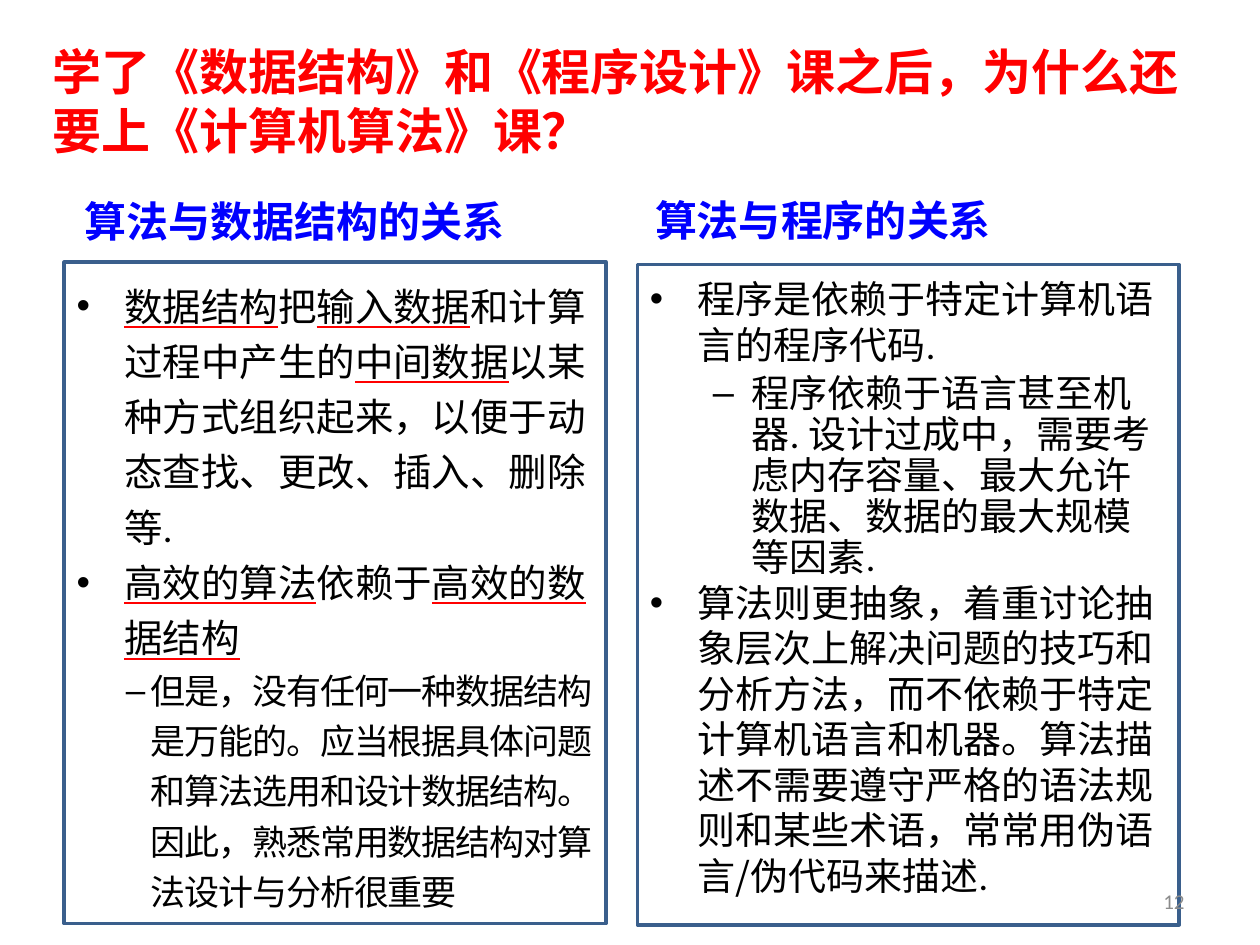
from lxml.etree import SubElement
from pptx import Presentation
from pptx.dml.color import RGBColor
from pptx.enum.shapes import MSO_SHAPE as Shape
from pptx.enum.text import MSO_ANCHOR as Anchor, PP_ALIGN as Align
from pptx.oxml.ns import qn
from pptx.util import Inches, Pt

SANS, BODY = "Noto Sans CJK SC", "Calibri"
RED, BLUE, BLACK, GREY, EDGE = "FF0000", "0000FF", "000000", "8C8C8C", "3A5F8C"

# Labels: text, box, size, font, colour, bold, align, indent
LABELS = [
    ("学了《数据结构》和《程序设计》课之后，为什么还要上《计算机算法》课？",
     (0.25, 0.17, 9.33, 1.25), 28, SANS, RED, True, Align.LEFT, 0.07),
    ("算法与数据结构的关系", (0.5, 1.13, 4.08, 1.25), 24, SANS, BLUE, True, Align.LEFT, 0.07),
    ("算法与程序的关系", (5.03, 1.12, 4.08, 1.25), 24, SANS, BLUE, True, Align.LEFT, 0.07),
    ("12", (7.17, 6.95, 2.33, 0.4), 12, BODY, GREY, False, Align.RIGHT, 0),
]

# Paragraph styles: bullet, left indent, hang, size, line pitch, space before, tracking
TOP = ("•", 0.38, 0.38, 22, 31.6, 0, 0)
SUB = ("–", 0.59, 0.2, 20, 28.8, 0, -70)
ITEM = ("•", 0.38, 0.38, 21.7, 26, 0, 0)
NOTE = ("–", 0.81, 0.31, 21.7, 23.4, 4.3, 0)

# Panels: box, then paragraphs of (style, runs); a run is (text, font, underlined)
PANELS = [
    ((0.51, 2.08, 4.3, 5.25), [
        (TOP, [("数据结构", SANS, True), ("把", BODY, False),
               ("输入数据", SANS, True), ("和计算过程中产生的", BODY, False),
               ("中间数据", SANS, True),
               ("以某种方式组织起来，以便于动态查找、更改、插入、删除等.", BODY, False)]),
        (TOP, [("高效的算法", SANS, True), ("依赖于", BODY, False),
               ("高效的数据结构", SANS, True)]),
        (SUB, [("但是，没有任何一种数据结构是万能的。应当根据具体问题和算法选用和设计数据结构。"
                "因此，熟悉常用数据结构对算法设计与分析很重要", BODY, False)]),
    ]),
    ((5.06, 2.1, 4.3, 5.24), [
        (ITEM, [("程序是依赖于特定计算机语言的程序代码.", BODY, False)]),
        (NOTE, [("程序依赖于语言甚至机器. 设计过成中，需要考虑内存容量、最大允许数据、"
                 "数据的最大规模等因素.", BODY, False)]),
        (ITEM, [("算法则更抽象，着重讨论抽象层次上解决问题的技巧和分析方法，而不依赖于特定"
                 "计算机语言和机器。算法描述不需要遵守严格的语法规则和某些术语，常常用",
                 BODY, False),
                ("伪语言/伪代码", SANS, False), ("来描述.", BODY, False)]),
    ]),
]


def rgb(code):
    return RGBColor.from_string(code)


def indent(para, left, hang=0, mark=None):
    props = para._p.get_or_add_pPr()
    props.set("marL", str(Inches(left)))
    props.set("indent", str(-Inches(hang)))
    if mark:
        SubElement(props, qn("a:buFont"), typeface="Arial")
        SubElement(props, qn("a:buChar"), char=mark)


def dress(run, size, face, color, bold=False, under=False, track=0):
    """Format a run, with a red rule below it when underlined."""
    font = run.font
    font.size, font.bold = Pt(size), bold
    font.color.rgb = rgb(color)
    props = run._r.get_or_add_rPr()
    if track:
        props.set("spc", str(track))
    if under:
        font.underline = True
        fill = SubElement(SubElement(props, qn("a:uFill")), qn("a:solidFill"))
        SubElement(fill, qn("a:srgbClr"), val=RED)
    font.name = face
    SubElement(props, qn("a:ea"), typeface=SANS)


def add_label(slide, text, box, size, face, color, bold, align, left):
    frame = slide.shapes.add_textbox(*map(Inches, box)).text_frame
    frame.word_wrap, frame.vertical_anchor = True, Anchor.MIDDLE
    frame.text = text
    para = frame.paragraphs[0]
    indent(para, left)
    para.alignment, para.line_spacing = align, Pt(size * 1.2)
    dress(para.runs[0], size, face, color, bold)


def add_panel(slide, box, items):
    panel = slide.shapes.add_shape(Shape.RECTANGLE, *map(Inches, box))
    panel.shadow.inherit = False
    panel.fill.background()
    panel.line.color.rgb, panel.line.width = rgb(EDGE), Pt(2)
    frame = panel.text_frame
    frame.word_wrap, frame.vertical_anchor = True, Anchor.TOP
    frame.margin_top = Inches(0.09)
    for i, (style, runs) in enumerate(items):
        mark, left, hang, size, pitch, before, track = style
        para = frame.add_paragraph() if i else frame.paragraphs[0]
        indent(para, left, hang, mark)
        para.level = int(mark == "–")
        para.alignment = Align.LEFT
        para.line_spacing, para.space_before = Pt(pitch), Pt(before)
        for text, face, under in runs:
            run = para.add_run()
            run.text = text
            dress(run, size, face, BLACK, under=under, track=track)


def main():
    deck = Presentation()
    deck.slide_width, deck.slide_height = Inches(10), Inches(7.5)
    slide = deck.slides.add_slide(deck.slide_layouts[6])
    for panel in PANELS:
        add_panel(slide, *panel)
    for label in LABELS:
        add_label(slide, *label)
    deck.save("out.pptx")


if __name__ == "__main__":
    main()
